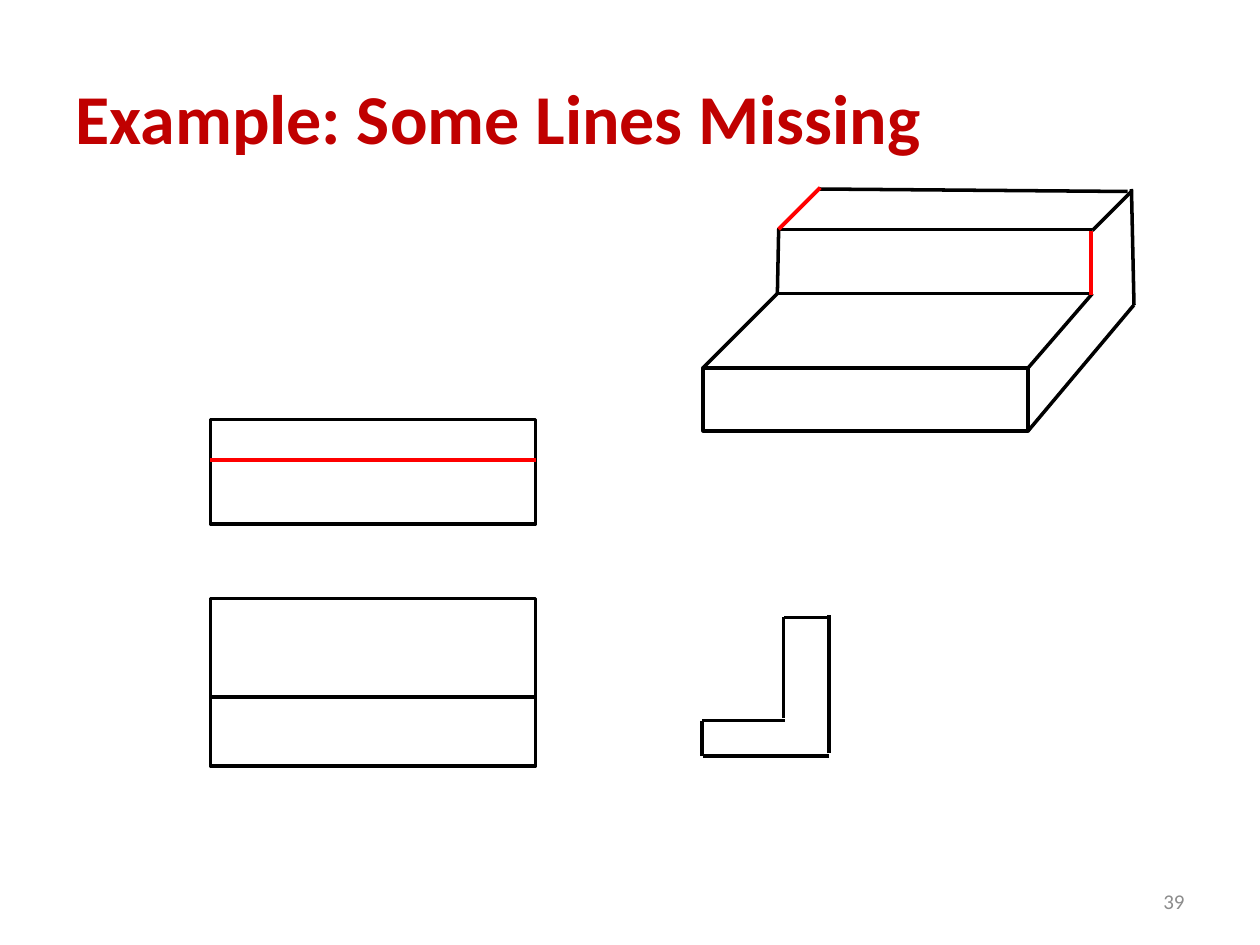
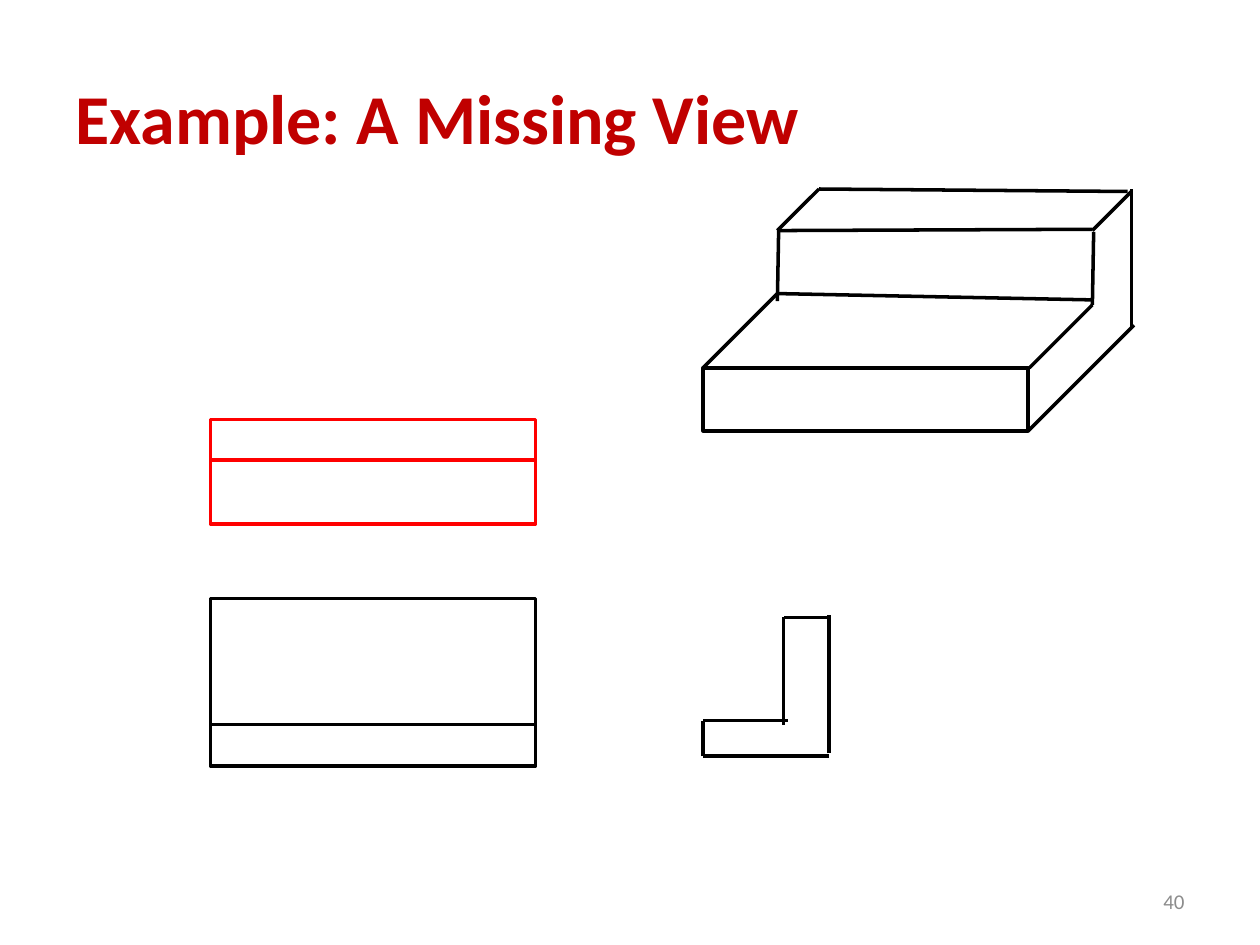
import pptx
import pptx.util
import pptx.dml.color
import pptx.enum.shapes
import pptx.enum.text
import pptx.oxml.ns
import lxml.etree

Cm, Pt = pptx.util.Cm, pptx.util.Pt
RGBColor = pptx.dml.color.RGBColor
PP_ALIGN = pptx.enum.text.PP_ALIGN

FONT = "Calibri"
TITLE_RED = RGBColor(0xC0, 0x00, 0x00)
ANSWER_RED = RGBColor(0xFF, 0x00, 0x00)
BLACK = RGBColor(0x00, 0x00, 0x00)
GREY = RGBColor(0x8C, 0x8C, 0x8C)
LINE_WIDTH, ANSWER_WIDTH = 2, 2.25

# Positions are in inches: boxes are (left, top, width, height),
# edges are (x1, y1, x2, y2).
TITLE_BOX = (0.5, 0.3, 9, 1.25)
NUMBER_BOX = (7.17, 6.95, 2.33, 0.4)

VIEW_LEFT, VIEW_WIDTH = 1.67, 2.58
VIEW_RIGHT = VIEW_LEFT + VIEW_WIDTH
TOP_VIEW = (VIEW_LEFT, 3.33, VIEW_WIDTH, 0.83)
FRONT_VIEW = (VIEW_LEFT, 4.75, VIEW_WIDTH, 1.33)
BLOCK_FRONT = (5.58, 2.92, VIEW_WIDTH, 0.5)
TOP_VIEW_STEP = (VIEW_LEFT, 3.65, VIEW_RIGHT, 3.65)

SHARED_EDGES = [
    # block
    (8.67, 1.83, 8.98, 1.52),
    (6.5, 1.5, 8.95, 1.52),
    (5.58, 2.92, 6.17, 2.33),
    # side view
    (6.58, 5.98, 6.58, 4.88),
    (5.58, 6, 6.58, 6),
    (6.58, 4.9, 6.22, 4.9),
]

SLIDES = [
    {
        "title": "Example: Some Lines Missing",
        "number": "39",
        "top_view_color": BLACK,
        "front_step": 5.53,
        "block": [
            (8.16, 2.92, 8.67, 2.33),
            (8.16, 3.42, 9, 2.42),
            (9, 2.42, 8.98, 1.5),
            (6.17, 1.82, 8.67, 1.82),
            (6.17, 2.33, 8.66, 2.33),
            (6.17, 2.33, 6.18, 1.82),
        ],
        "side_view": [
            (6.22, 5.7, 6.22, 4.9),
            (6.23, 5.72, 5.57, 5.72),
            (5.57, 6, 5.57, 5.72),
        ],
        "answers": [
            (8.66, 2.34, 8.66, 1.83),
            (6.18, 1.82, 6.51, 1.49),
        ],
    },
    {
        "title": "Example: A Missing View",
        "number": "40",
        "top_view_color": ANSWER_RED,
        "front_step": 5.75,
        "block": [
            (8.17, 2.92, 8.67, 2.42),
            (8.16, 3.42, 9, 2.58),
            (8.98, 2.6, 8.98, 1.5),
            (8.67, 2.42, 8.68, 1.84),
            (6.17, 1.83, 8.67, 1.82),
            (6.17, 2.33, 8.66, 2.38),
            (6.17, 2.39, 6.18, 1.82),
            (6.17, 1.83, 6.5, 1.5),
        ],
        "side_view": [
            (6.22, 5.75, 6.22, 4.9),
            (6.25, 5.72, 5.58, 5.72),
            (5.58, 6, 5.58, 5.72),
        ],
        "answers": [],
    },
]


def to_cm(inches):
    return [Cm(value * 2.54) for value in inches]


def add_outline(shapes, box, color=BLACK):
    sp = shapes.add_shape(pptx.enum.shapes.MSO_SHAPE.RECTANGLE, *to_cm(box))
    sp.shadow.inherit = False
    sp.fill.background()
    sp.line.color.rgb = color
    sp.line.width = Pt(LINE_WIDTH)


def add_edge(shapes, ends, color=BLACK, width=LINE_WIDTH):
    line = shapes.add_connector(pptx.enum.shapes.MSO_CONNECTOR.STRAIGHT, *to_cm(ends))
    line.line.color.rgb = color
    line.line.width = Pt(width)
    sp_pr = line._element.spPr
    lxml.etree.SubElement(sp_pr, pptx.oxml.ns.qn("a:effectLst"))


def write_text(sp, text, size, color, align, bold=False):
    tf = sp.text_frame
    tf.word_wrap = True
    tf.vertical_anchor = pptx.enum.text.MSO_ANCHOR.MIDDLE
    p = tf.paragraphs[0]
    p.alignment = align
    r = p.add_run()
    r.text = text
    r.font.name = FONT
    r.font.size = Pt(size)
    r.font.bold = bold
    r.font.color.rgb = color


def add_title_and_number(s, title, number):
    sp = s.shapes.title
    sp.left, sp.top, sp.width, sp.height = to_cm(TITLE_BOX)
    write_text(sp, title, 40, TITLE_RED, PP_ALIGN.LEFT, bold=True)
    number_box = s.shapes.add_textbox(*to_cm(NUMBER_BOX))
    write_text(number_box, number, 12, GREY, PP_ALIGN.RIGHT)


def add_drawing(shapes, slide):
    add_outline(shapes, FRONT_VIEW)
    add_outline(shapes, BLOCK_FRONT)
    front_step = (VIEW_LEFT, slide["front_step"], VIEW_RIGHT, slide["front_step"])
    for ends in SHARED_EDGES + slide["block"] + slide["side_view"] + [front_step]:
        add_edge(shapes, ends)
    add_outline(shapes, TOP_VIEW, slide["top_view_color"])
    add_edge(shapes, TOP_VIEW_STEP, ANSWER_RED)
    for ends in slide["answers"]:
        add_edge(shapes, ends, ANSWER_RED, ANSWER_WIDTH)


def main():
    prs = pptx.Presentation()
    prs.slide_width, prs.slide_height = Cm(25.4), Cm(19.05)
    title_only = prs.slide_layouts.get_by_name("Title Only")
    for slide in SLIDES:
        s = prs.slides.add_slide(title_only)
        add_title_and_number(s, slide["title"], slide["number"])
        add_drawing(s.shapes, slide)
    prs.save("out.pptx")


if __name__ == "__main__":
    main()
